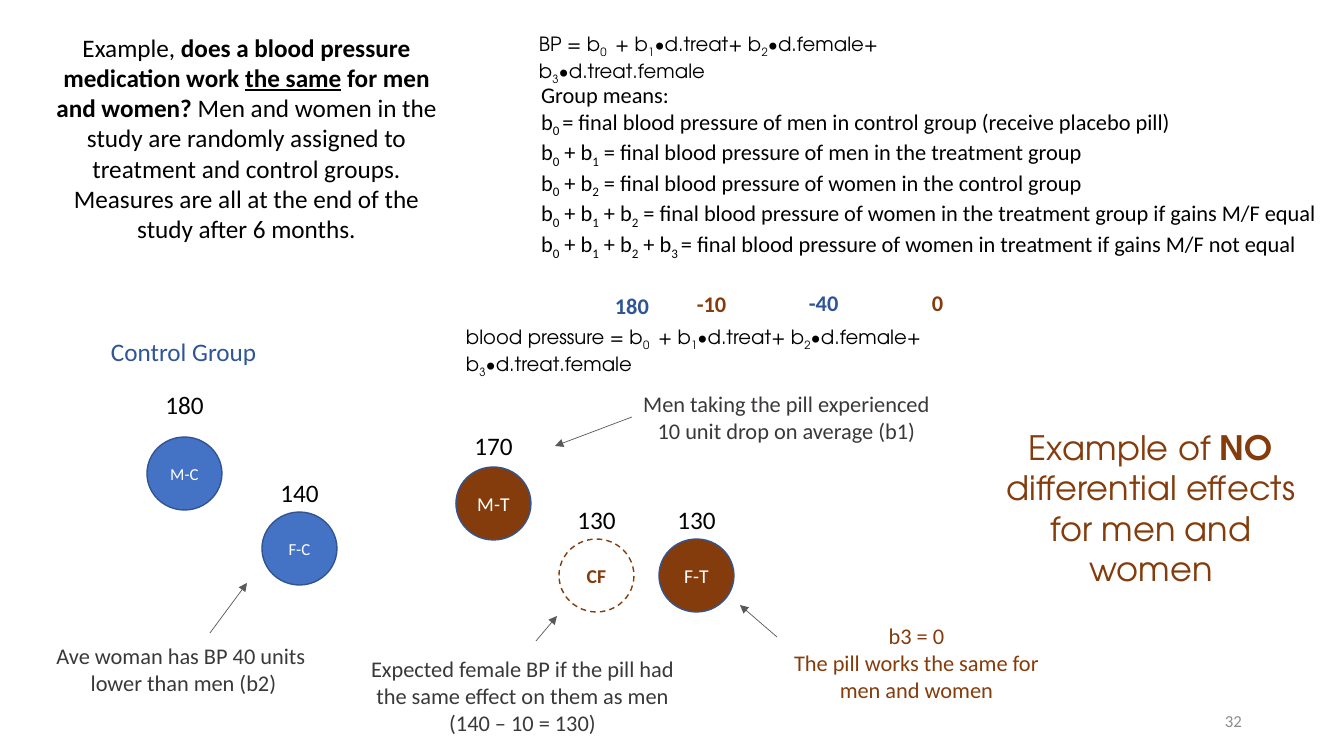
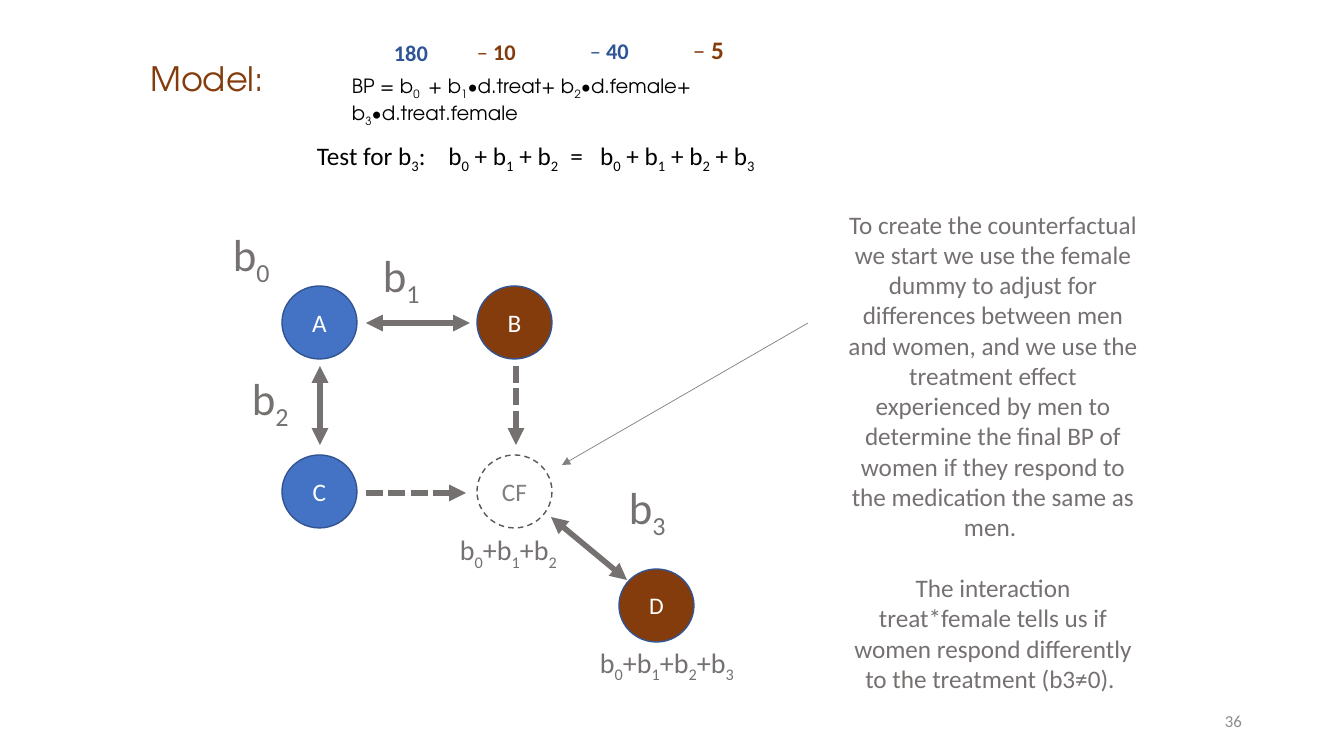
from dataclasses import dataclass
from typing import Any, Optional

import pptx
import pptx.dml.color
import pptx.enum.dml
import pptx.enum.shapes
import pptx.enum.text
import pptx.oxml.ns
import pptx.util
from lxml import etree

RGB = pptx.dml.color.RGBColor
ALIGN = pptx.enum.text.PP_ALIGN
ANCHOR = pptx.enum.text.MSO_ANCHOR
DASH = pptx.enum.dml.MSO_LINE
qn = pptx.oxml.ns.qn

BLACK = RGB(0x00, 0x00, 0x00)
WHITE = RGB(0xFF, 0xFF, 0xFF)
BLUE = RGB(0x44, 0x72, 0xC4)
DEEP_BLUE = RGB(0x2F, 0x55, 0x97)
OUTLINE = RGB(0x32, 0x54, 0x91)
BROWN = RGB(0x84, 0x3C, 0x0C)
CHARCOAL = RGB(0x3B, 0x38, 0x38)
DARK_GRAY = RGB(0x59, 0x59, 0x59)
WARM_GRAY = RGB(0x76, 0x71, 0x71)
MID_GRAY = RGB(0x80, 0x80, 0x80)
PAGE_GRAY = RGB(0x8C, 0x8C, 0x8C)

BODY_FONT = "Calibri"
DISPLAY_FONT = "TeX Gyre Adventor"
SLIDE_W, SLIDE_H = 1344, 756
EMU_PER_PX = 12192000 / SLIDE_W
CIRCLE_W, CIRCLE_H = 75, 73
MODEL = " = b{0 } + b{1}∙d.treat+ b{2}∙d.female+ b{3}∙d.treat.female"
MARKS = {"{": ("sub", True), "}": ("sub", False), "[": ("bold", True),
         "]": ("bold", False), "<": ("under", True), ">": ("under", False)}

Box = tuple[int, int, int, int]


@dataclass(frozen=True)
class Group:
    label: str
    x: int
    y: int
    fill: Optional[RGB]
    size: int = 18
    ink: RGB = WHITE
    line: RGB = OUTLINE
    bold: bool = False
    score: str = ""
    lift: int = 40


@dataclass(frozen=True)
class Arrow:
    start: tuple[int, int]
    end: tuple[int, int]
    color: RGB = DARK_GRAY
    width: float = 0.5
    double: bool = False
    dotted: bool = False


@dataclass(frozen=True)
class Label:
    text: str
    box: Box
    color: RGB
    size: int = 16
    align: Any = ALIGN.LEFT
    wrap: bool = False


def px(length: float) -> pptx.util.Emu:
    return pptx.util.Emu(round(length * EMU_PER_PX))


def split_marks(text: str) -> list[tuple[str, dict[str, bool]]]:
    state = {"sub": False, "bold": False, "under": False}
    pieces, current = [], ""
    for char in text:
        if char in MARKS:
            if current:
                pieces.append((current, dict(state)))
            current = ""
            key, value = MARKS[char]
            state[key] = value
        else:
            current += char
    return pieces + ([(current, state)] if current else [])


def write(shape: Any, text: str, *, size: int, color: RGB, font: str = BODY_FONT,
          align: Any = ALIGN.LEFT, anchor: Any = ANCHOR.TOP, bold: bool = False,
          wrap: bool = True, gap: int = 0) -> None:
    frame = shape.text_frame
    frame.word_wrap = wrap
    frame.auto_size = pptx.enum.text.MSO_AUTO_SIZE.NONE
    frame.vertical_anchor = anchor
    for index, line in enumerate(text.split("\n")):
        paragraph = frame.add_paragraph() if index else frame.paragraphs[0]
        paragraph.alignment = align
        paragraph.space_before = pptx.util.Pt(gap if index else 0)
        if shape.is_placeholder:
            properties = paragraph._p.get_or_add_pPr()
            properties.set("marL", "0")
            properties.set("indent", "0")
            etree.SubElement(properties, qn("a:buNone"))
        for piece, marks in split_marks(line):
            run = paragraph.add_run()
            run.text = piece
            run.font.name = font
            run.font.size = pptx.util.Pt(size)
            run.font.color.rgb = color
            run.font.bold = bold or marks["bold"]
            run.font.underline = marks["under"]
            if marks["sub"]:
                run.font._element.set("baseline", "-25000")


def add_text(slide: Any, text: str, box: Box, **style: Any) -> None:
    write(slide.shapes.add_textbox(*map(px, box)), text, **style)


def fill_placeholder(shape: Any, text: str, box: Box, **style: Any) -> None:
    shape.left, shape.top, shape.width, shape.height = map(px, box)
    write(shape, text, **style)


def add_label(slide: Any, label: Label) -> None:
    add_text(slide, label.text, label.box, size=label.size, color=label.color,
             align=label.align, wrap=label.wrap)


def add_group(slide: Any, group: Group) -> None:
    circle = slide.shapes.add_shape(
        pptx.enum.shapes.MSO_SHAPE.OVAL,
        *map(px, (group.x, group.y, CIRCLE_W, CIRCLE_H)))
    circle.shadow.inherit = False
    circle.line.color.rgb = group.line
    circle.line.width = pptx.util.Pt(1)
    if group.fill is None:
        circle.fill.background()
        circle.line.dash_style = DASH.DASH
    else:
        circle.fill.solid()
        circle.fill.fore_color.rgb = group.fill
    write(circle, group.label, size=group.size, color=group.ink, bold=group.bold,
          align=ALIGN.CENTER, anchor=ANCHOR.MIDDLE, wrap=False)
    if group.score:
        add_text(slide, group.score, (group.x, group.y - group.lift, CIRCLE_W, 40),
                 size=18, color=BLACK, align=ALIGN.CENTER)


def add_arrow(slide: Any, arrow: Arrow) -> None:
    connector = slide.shapes.add_connector(
        pptx.enum.shapes.MSO_CONNECTOR.STRAIGHT,
        *map(px, arrow.start + arrow.end))
    connector.line.color.rgb = arrow.color
    connector.line.width = pptx.util.Pt(arrow.width)
    if arrow.dotted:
        connector.line.dash_style = DASH.SQUARE_DOT
    outline = connector.line._get_or_add_ln()
    for tag in ("a:headEnd", "a:tailEnd") if arrow.double else ("a:tailEnd",):
        etree.SubElement(outline, qn(tag), type="triangle")
    etree.SubElement(connector._element.spPr, qn("a:effectLst"))


def start_slide(deck: Any, title: str, title_box: Box, page: str) -> Any:
    slide = deck.slides.add_slide(deck.slide_layouts[1])
    fill_placeholder(slide.shapes.title, title, title_box, size=24, color=BROWN,
                     font=DISPLAY_FONT, align=ALIGN.CENTER, anchor=ANCHOR.MIDDLE)
    add_text(slide, page, (950, 701, 302, 40), size=12, color=PAGE_GRAY,
             align=ALIGN.RIGHT, anchor=ANCHOR.MIDDLE)
    return slide


def add_model(slide: Any, outcome: str, box: Box) -> None:
    add_text(slide, outcome + MODEL, box, size=14, color=BLACK, font=DISPLAY_FONT)


def add_parts(slide: Any, groups: list[Group], arrows: list[Arrow],
              labels: list[Label]) -> None:
    for group in groups:
        add_group(slide, group)
    for arrow in arrows:
        add_arrow(slide, arrow)
    for label in labels:
        add_label(slide, label)


def build_no_difference(deck: Any) -> None:
    slide = start_slide(deck, "Example of [NO] differential effects for men and women",
                        (988, 421, 326, 173), "32")
    final = "= final blood pressure of "
    fill_placeholder(
        slide.placeholders[1],
        "Group means:\n"
        f"b{{0 }}{final}men in control group (receive placebo pill)\n"
        f"b{{0}} + b{{1}} {final}men in the treatment group\n"
        f"b{{0}} + b{{2}} {final}women in the control group\n"
        f"b{{0}} + b{{1}} + b{{2}} {final}women in the treatment group if gains M/F equal\n"
        f"b{{0}} + b{{1}} + b{{2}} + b{{3 }}{final}women in treatment if gains M/F not equal",
        (531, 76, 807, 192), size=16, color=BLACK, wrap=False)
    add_text(slide,
             "Example, [does a blood pressure medication work <the same> for men and women? ]"
             "Men and women in the study are randomly assigned to treatment and control groups. "
             "Measures are all at the end of the study after 6 months.",
             (38, 27, 417, 224), size=18, color=BLACK, align=ALIGN.CENTER)
    add_model(slide, "BP", (529, 27, 518, 34))
    add_model(slide, "blood pressure", (456, 320, 633, 34))
    groups = [
        Group("M-C", 147, 437, BLUE, 12, score="180", lift=53),
        Group("F-C", 262, 512, BLUE, 12, score="140"),
        Group("M-T", 456, 467, BROWN, 14, score="170", lift=42),
        Group("CF", 559, 539, None, 14, BROWN, BROWN, True, score="130"),
        Group("F-T", 659, 539, BROWN, 14, score="130"),
    ]
    arrows = [
        Arrow((210, 633), (247, 583)),
        Arrow((632, 417), (555, 446)),
        Arrow((536, 641), (557, 616)),
        Arrow((777, 637), (740, 605)),
    ]
    labels = [
        Label("[180]", (605, 287, 54, 37), DEEP_BLUE),
        Label("[-10]", (687, 285, 55, 37), BROWN),
        Label("[-40]", (799, 284, 50, 37), DEEP_BLUE),
        Label("[0]", (922, 284, 32, 37), BROWN),
        Label("Control Group", (101, 331, 167, 40), DEEP_BLUE, 18),
        Label("Ave woman has BP 40 units \nlower than men (b2)",
              (45, 637, 277, 65), CHARCOAL, align=ALIGN.CENTER),
        Label("Men taking the pill experienced\n10 unit drop on average (b1)",
              (632, 385, 309, 65), CHARCOAL, align=ALIGN.CENTER),
        Label("Expected female BP if the pill had the same effect on them as men "
              "(140 – 10 = 130)", (346, 650, 353, 92), CHARCOAL,
              align=ALIGN.CENTER, wrap=True),
        Label("b3 = 0\nThe pill works the same for men and women",
              (777, 617, 279, 92), BROWN, align=ALIGN.CENTER, wrap=True),
    ]
    add_parts(slide, groups, arrows, labels)


def build_counterfactual(deck: Any) -> None:
    slide = start_slide(deck, "Model:", (44, 53, 326, 50), "36")
    fill_placeholder(
        slide.placeholders[1],
        "To create the counterfactual we start we use the female dummy to adjust for "
        "differences between men and women, and we use the treatment effect experienced "
        "by men to determine the final BP of women if they respond to the medication "
        "the same as men. \n"
        "The interaction treat*female tells us if women respond differently to the "
        "treatment (b3≠0). ",
        (838, 204, 310, 499), size=18, color=WARM_GRAY, align=ALIGN.CENTER, gap=22)
    add_model(slide, "BP", (342, 69, 518, 34))
    control_x, treated_x, men_y, women_y = 282, 477, 286, 455
    groups = [
        Group("A", control_x, men_y, BLUE),
        Group("B", treated_x, men_y, BROWN),
        Group("C", control_x, women_y, BLUE),
        Group("CF", treated_x, women_y, None, ink=MID_GRAY, line=DARK_GRAY),
        Group("D", 619, 569, BROWN, 17),
    ]
    arrows = [
        Arrow((366, 323), (470, 323), WARM_GRAY, 4, double=True),
        Arrow((320, 366), (320, 445), WARM_GRAY, 4, double=True),
        Arrow((551, 517), (627, 580), WARM_GRAY, 4, double=True),
        Arrow((516, 366), (516, 445), WARM_GRAY, 4, dotted=True),
        Arrow((366, 493), (466, 493), WARM_GRAY, 4, dotted=True),
        Arrow((808, 323), (562, 465), MID_GRAY),
    ]
    effect_corners = [(223, 222), (373, 243), (242, 366), (619, 475)]
    labels = [Label(f"b{{{index}}}", (x, y, 60, 65), WARM_GRAY, 32)
              for index, (x, y) in enumerate(effect_corners)]
    labels += [
        Label("b{0}+b{1}+b{2}", (450, 528, 122, 44), WARM_GRAY, 20),
        Label("b{0}+b{1}+b{2}+b{3}", (590, 641, 165, 44), WARM_GRAY, 20),
        Label("Test for b{3}:    b{0} + b{1} + b{2  } =   b{0} + b{1} + b{2} + b{3}",
              (307, 135, 475, 40), BLACK, 18),
        Label("[180]", (384, 34, 54, 37), DEEP_BLUE),
        Label("– [10]", (467, 33, 64, 37), BROWN),
        Label("– [40]", (580, 32, 59, 37), DEEP_BLUE),
        Label("– [5]", (683, 29, 51, 40), BROWN, 18),
    ]
    add_parts(slide, groups, arrows, labels)


def main() -> None:
    deck = pptx.Presentation()
    deck.slide_width, deck.slide_height = px(SLIDE_W), px(SLIDE_H)
    build_no_difference(deck)
    build_counterfactual(deck)
    deck.save("out.pptx")


if __name__ == "__main__":
    main()
